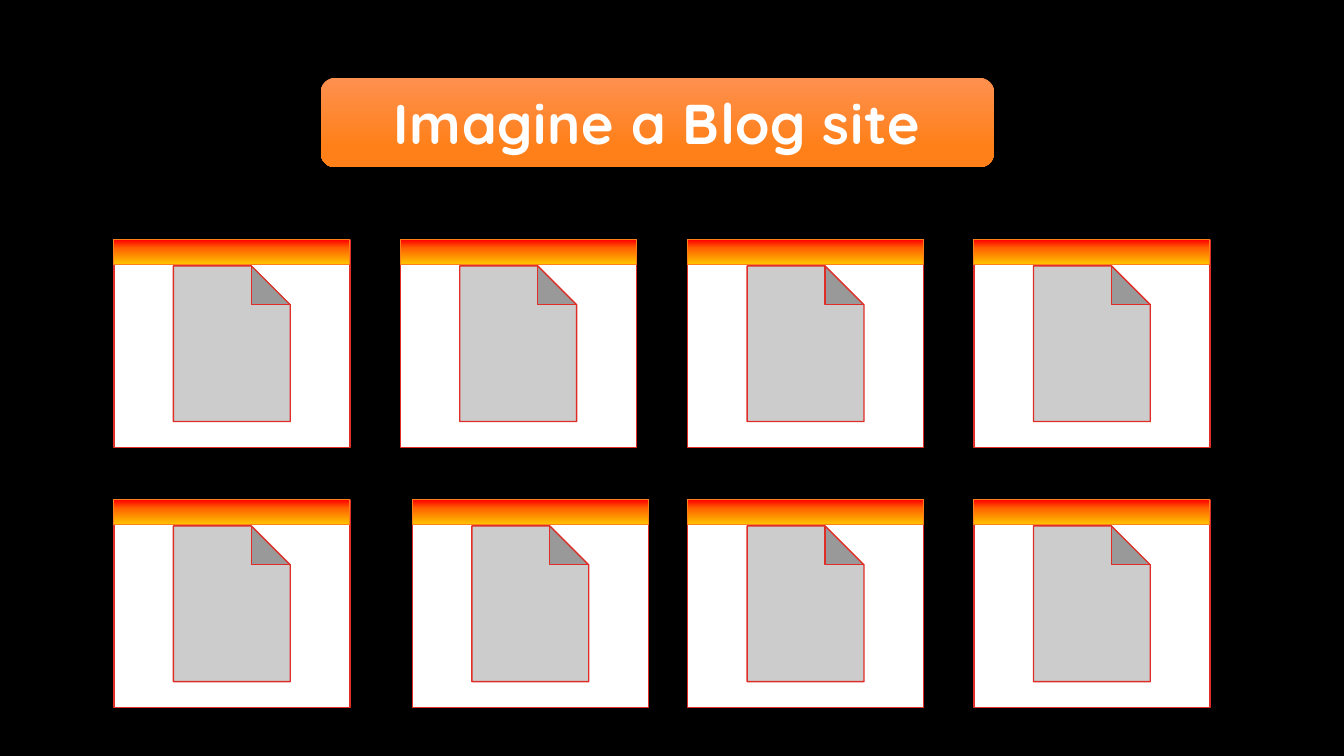
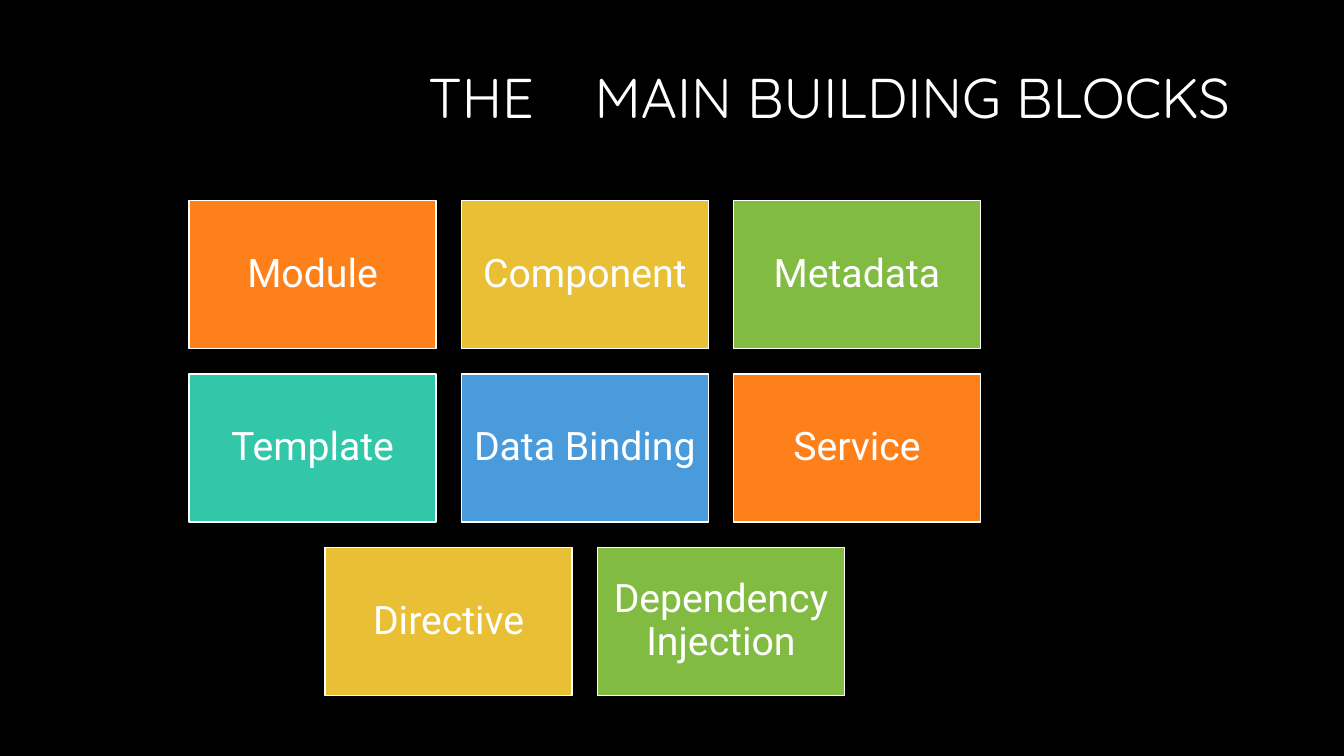
from lxml import etree
from pptx import Presentation
from pptx.dml.color import RGBColor
from pptx.enum.shapes import MSO_SHAPE
from pptx.enum.text import MSO_ANCHOR, MSO_AUTO_SIZE, PP_ALIGN
from pptx.oxml import parse_xml
from pptx.oxml.ns import qn
from pptx.util import Inches, Pt

RECTANGLE = MSO_SHAPE.RECTANGLE
ROUNDED = MSO_SHAPE.ROUNDED_RECTANGLE
DOCUMENT = MSO_SHAPE.ACTION_BUTTON_DOCUMENT
CENTER, RIGHT = PP_ALIGN.CENTER, PP_ALIGN.RIGHT
MIDDLE = MSO_ANCHOR.MIDDLE
NO_AUTOFIT = MSO_AUTO_SIZE.NONE
DRAWING = "http://schemas.openxmlformats.org/drawingml/2006/main"

BLACK = RGBColor(0x00, 0x00, 0x00)
WHITE = RGBColor(0xFF, 0xFF, 0xFF)
SOFT_WHITE = RGBColor(0xFE, 0xFE, 0xFE)
RED = RGBColor(0xDF, 0x2E, 0x28)
ORANGE = RGBColor(0xFE, 0x80, 0x1A)
YELLOW = RGBColor(0xE9, 0xBF, 0x35)
GREEN = RGBColor(0x81, 0xBB, 0x42)
TEAL = RGBColor(0x32, 0xC7, 0xA9)
BLUE = RGBColor(0x4A, 0x9B, 0xDC)
HEADER_STOPS = [(0, RGBColor(0xFF, 0x00, 0x00)), (34, RGBColor(0xFF, 0x60, 0x00)),
                (99, RGBColor(0xFF, 0xC0, 0x00))]
BANNER_STOPS = [(0, RGBColor(0xFE, 0x90, 0x4F)), (78, RGBColor(0xFF, 0x80, 0x19))]

TITLE_FONT, BODY_FONT = "Quicksand", "Roboto"

# Content
BLOG_TITLE = "Imagine a Blog site"
BLOG_ROWS = [(2.38, (1.13, 3.97, 6.82, 9.66)),
             (4.96, (1.13, 4.09, 6.82, 9.66))]
BLOCKS_TITLE = "THE\t MAIN BUILDING BLOCKS"
BLOCK_ROWS = [
    [("Module", ORANGE), ("Component", YELLOW), ("Metadata", GREEN)],
    [("Template", TEAL), ("Data Binding", BLUE), ("Service", ORANGE)],
    [("Directive", YELLOW), ("Dependency Injection", GREEN)],
]


def write(shape, text, size, font, color, align=CENTER, bold=False,
          line_spacing=None, inset=None):
    """Put one formatted paragraph in a shape and return its run."""
    frame = shape.text_frame
    frame.word_wrap = True
    frame.auto_size = NO_AUTOFIT
    frame.vertical_anchor = MIDDLE
    if inset is not None:
        frame.margin_left = frame.margin_right = Inches(inset)
        frame.margin_top = frame.margin_bottom = Inches(inset)
    para = frame.paragraphs[0]
    para.alignment = align
    para.line_spacing = line_spacing
    span = para.add_run()
    span.text = text
    span.font.size = Pt(size)
    span.font.name = font
    span.font.bold = bold
    span.font.color.rgb = color
    return span


def add_box(slide, kind, place, fill=None, stops=None, line=None, width=1):
    """Add a shape with a solid fill or a top-to-bottom gradient."""
    box = slide.shapes.add_shape(kind, *map(Inches, place))
    box.shadow.inherit = False
    if stops:
        box.fill.gradient()
        box.fill.gradient_angle = 270
        stop_list = box.fill._fill._gradFill.find(qn("a:gsLst"))
        for old_stop in list(stop_list):
            stop_list.remove(old_stop)
        for position, color in stops:
            stop = etree.SubElement(stop_list, qn("a:gs"), pos=str(position * 1000))
            etree.SubElement(stop, qn("a:srgbClr"), val=str(color))
    else:
        box.fill.solid()
        box.fill.fore_color.rgb = fill
    if line is None:
        box.line.fill.background()
    else:
        box.line.color.rgb = line
        box.line.width = Pt(width)
    return box


def add_title(slide, text, place, **style):
    """Place and fill the title placeholder."""
    title = slide.shapes.title
    title.left, title.top, title.width, title.height = map(Inches, place)
    return write(title, text, 40, TITLE_FONT, **style)


def add_glow(span):
    """Give the letters a thin red outline, a soft shadow and wide spacing."""
    properties = span.font._element
    properties.set("spc", "50")
    color = f'<a:solidFill><a:srgbClr val="{RED}"/></a:solidFill>'
    properties.insert(0, parse_xml(f'<a:ln xmlns:a="{DRAWING}" w="9525">{color}</a:ln>'))
    shadow = parse_xml(
        f'<a:effectLst xmlns:a="{DRAWING}"><a:outerShdw dist="38100" dir="2700000">'
        f'<a:srgbClr val="{RED}"/></a:outerShdw></a:effectLst>')
    properties.find(qn("a:solidFill")).addnext(shadow)


def build_blog(slide):
    banner = (3.18, 0.77, 6.68, 0.89)
    page_width, page_height, header_height = 2.34, 2.06, 0.24
    # Banner behind the title
    panel = add_box(slide, ROUNDED, banner, stops=BANNER_STOPS)
    slide.shapes._spTree.insert(2, panel._element)
    add_glow(add_title(slide, BLOG_TITLE, banner, color=SOFT_WHITE, bold=True))
    # Blog pages with their header bars
    for top, lefts in BLOG_ROWS:
        for left in lefts:
            add_box(slide, DOCUMENT, (left, top, page_width, page_height),
                    fill=WHITE, line=RED)
            add_box(slide, RECTANGLE, (left, top, page_width, header_height),
                    stops=HEADER_STOPS, line=ORANGE, width=0.75)


def build_blocks(slide):
    add_title(slide, BLOCKS_TITLE, (2.88, 0.29, 9.42, 1.41), color=WHITE,
              align=RIGHT, line_spacing=0.9)
    # Rows of tiles, each centred on the same axis
    width, height, gap, first_top, axis = 2.45, 1.47, 0.25, 1.99, 5.8
    for row, blocks in enumerate(BLOCK_ROWS):
        row_width = len(blocks) * (width + gap) - gap
        top = first_top + row * (height + gap)
        for column, (name, color) in enumerate(blocks):
            left = axis - row_width / 2 + column * (width + gap)
            tile = add_box(slide, RECTANGLE, (left, top, width, height),
                           fill=color, line=WHITE)
            write(tile, name, 28, BODY_FONT, WHITE, line_spacing=0.9, inset=0.12)


def main():
    deck = Presentation()
    deck.slide_width, deck.slide_height = Inches(13.33), Inches(7.5)
    background = deck.slide_master.background.fill
    background.solid()
    background.fore_color.rgb = BLACK
    title_only = deck.slide_layouts[5]
    for build in (build_blog, build_blocks):
        build(deck.slides.add_slide(title_only))
    deck.save("out.pptx")


if __name__ == "__main__":
    main()
